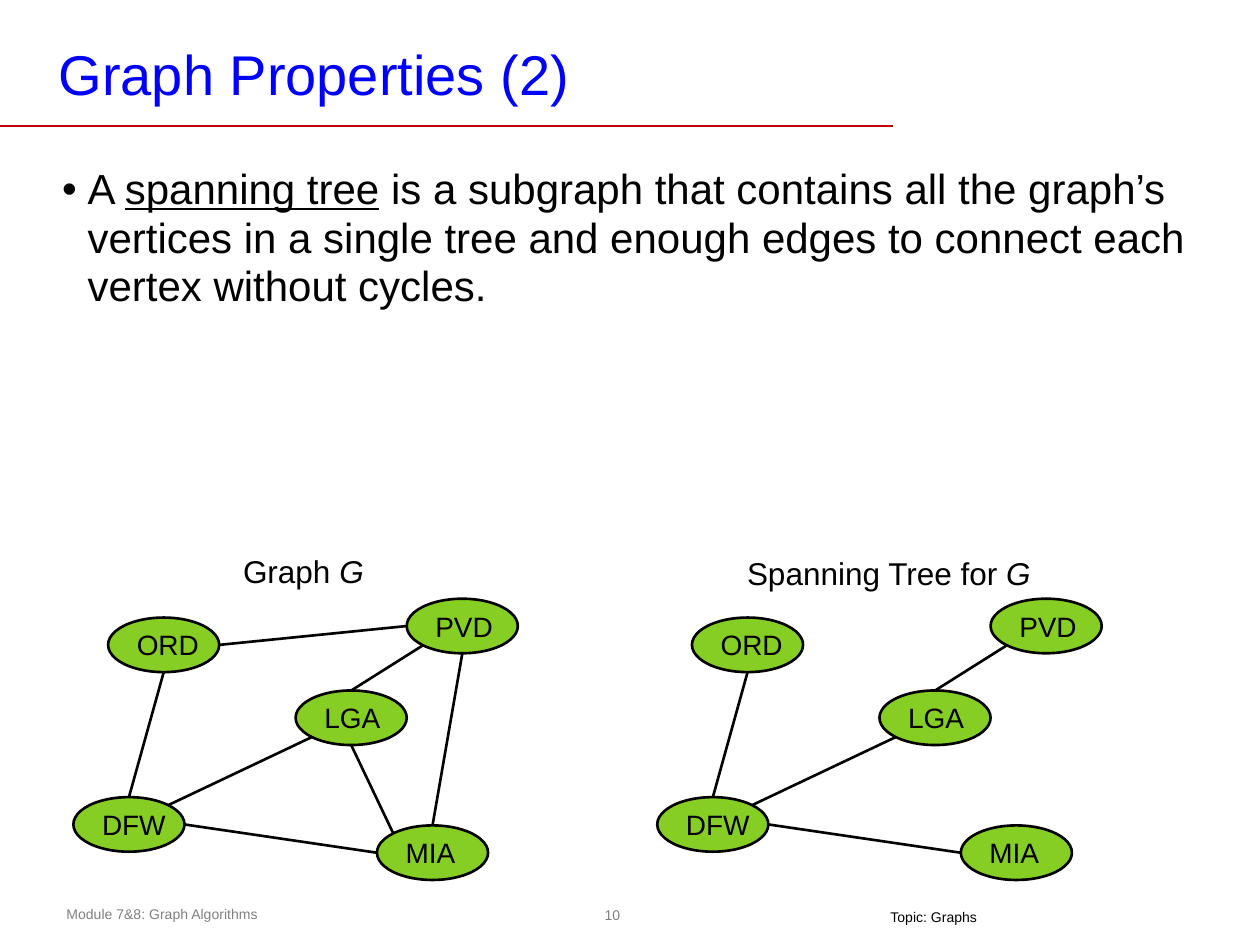
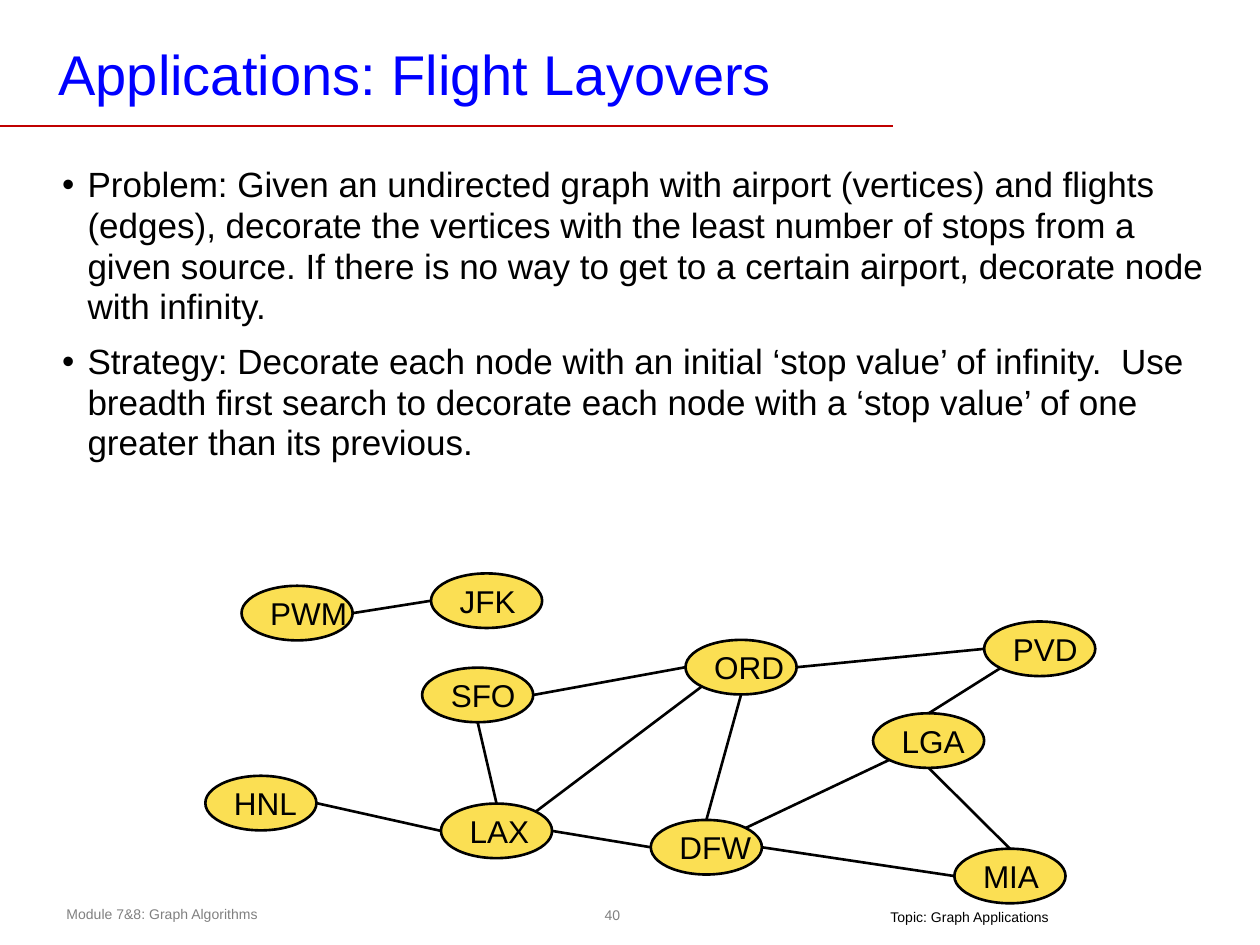
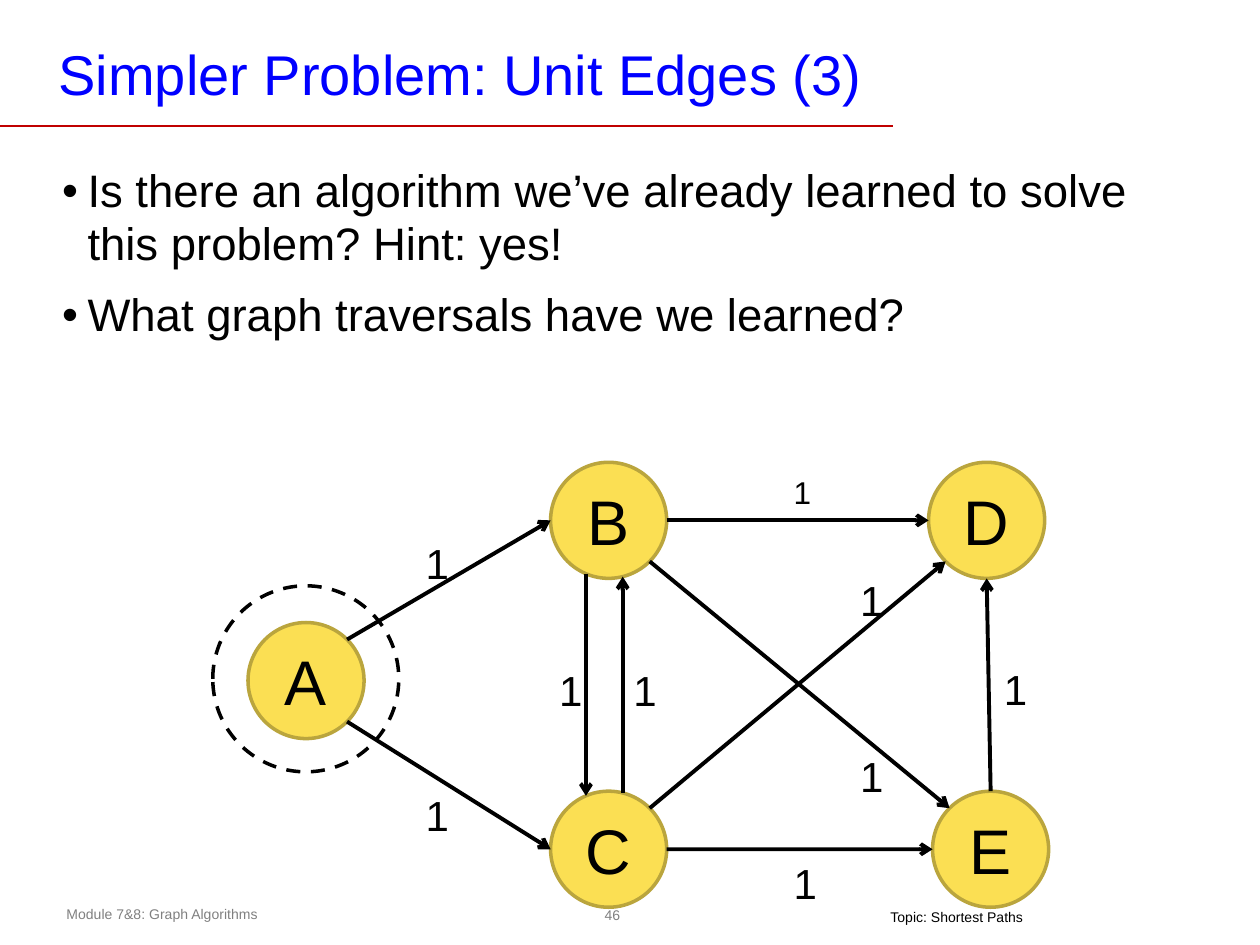
"""Build three lecture slides on graphs: spanning tree, flight layovers and unit edges."""
from math import cos, radians, sin

from lxml import etree
from pptx import Presentation
from pptx.dml.color import RGBColor
from pptx.enum.dml import MSO_LINE
from pptx.enum.shapes import MSO_CONNECTOR, MSO_SHAPE
from pptx.enum.text import MSO_ANCHOR, MSO_AUTO_SIZE, PP_ALIGN
from pptx.oxml.ns import qn
from pptx.util import Cm, Pt

STRAIGHT, OVAL, DASH = MSO_CONNECTOR.STRAIGHT, MSO_SHAPE.OVAL, MSO_LINE.DASH
LEFT, CENTER = PP_ALIGN.LEFT, PP_ALIGN.CENTER
TOP, MIDDLE = MSO_ANCHOR.TOP, MSO_ANCHOR.MIDDLE
NO_FIT = MSO_AUTO_SIZE.NONE

FONT = "Arial"
BLACK, GRAY, BLUE, RED = "000000", "808080", "0000FF", "C00000"
GREEN, YELLOW, OLIVE = "86CE24", "FBDF53", "BAA53D"

# Angles on a node's outline, clockwise from its right end
E, SE, S, SW, W, NW, N, NE = range(0, 360, 45)

AIRPORT = {"w": 2.24, "h": 1.1, "line": BLACK, "line_pt": 1.5, "align": LEFT,
           "edge_pt": 1.5, "arrow": False}
GREEN_AIRPORT = {**AIRPORT, "fill": GREEN, "size": 16}
YELLOW_AIRPORT = {**AIRPORT, "fill": YELLOW, "size": 18}
VERTEX = {"w": 2.34, "h": 2.34, "fill": YELLOW, "line": OLIVE, "line_pt": 2,
          "align": CENTER, "size": 36, "edge_pt": 2.25, "arrow": True}

network = {"ORD": (2.18, 12.45), "PVD": (8.2, 12.07), "MIA": (7.6, 16.64),
           "DFW": (1.48, 16.07), "LGA": (5.96, 13.92)}
tree_nodes = {name: (x + 11.77, y) for name, (x, y) in network.items()}
tree_edges = [("DFW", N, "ORD", S), ("DFW", NE, "LGA", SW),
              ("LGA", N, "PVD", SW), ("MIA", W, "DFW", E)]
other_edges = [("MIA", N, "PVD", S), ("LGA", S, "MIA", NW), ("ORD", E, "PVD", W)]

flights = {"ORD": (13.82, 12.9), "PVD": (19.84, 12.53), "MIA": (19.24, 17.11),
           "DFW": (13.12, 16.53), "SFO": (8.51, 13.46), "LAX": (8.89, 16.2),
           "LGA": (17.6, 14.38), "HNL": (4.14, 15.64), "PWM": (4.87, 11.81),
           "JFK": (8.69, 11.56)}
flight_edges = [("SFO", E, "ORD", W), ("DFW", N, "ORD", S), ("DFW", NE, "LGA", SW),
                ("LGA", N, "PVD", SW), ("ORD", E, "PVD", W), ("HNL", E, "LAX", W),
                ("SFO", S, "LAX", N), ("LGA", S, "MIA", N), ("MIA", W, "DFW", E),
                ("LAX", E, "DFW", W), ("LAX", NE, "ORD", SW), ("PWM", E, "JFK", W)]

vertices = {"A": (5, 12.55), "B": (11.1, 9.32), "C": (11.1, 15.95),
            "D": (18.72, 9.32), "E": (18.8, 15.95)}
vertex_edges = [("A", NE, "B", W), ("A", SE, "C", W), ("B", 113, "C", 247),
                ("C", 284, "B", 76), ("B", E, "D", W), ("B", SE, "E", NW),
                ("E", N, "D", S), ("C", E, "E", W), ("C", NE, "D", SW)]
weights = [(8.33, 10.72, 24), (8.33, 15.8, 24), (11.02, 13.28, 24),
           (12.52, 13.28, 24), (15.75, 9.42, 18), (17.09, 15.01, 24),
           (19.99, 13.26, 24), (15.75, 17.17, 24), (17.09, 11.46, 24)]

slides = [
    {"title": "Graph Properties (2)", "number": "10", "topic": "Graphs", "size": 24,
     "bullets": [("A ", "spanning tree", " is a subgraph that contains all the graph’s vertices "
                  "in a single tree and enough edges to connect each vertex without cycles.")],
     "graphs": [(GREEN_AIRPORT, tree_nodes, tree_edges),
                (GREEN_AIRPORT, network, tree_edges + other_edges)],
     "captions": [("Graph ", 4.65, 11, 4.45), ("Spanning Tree for ", 14.81, 11.05, 6.99)]},
    {"title": "Applications: Flight Layovers", "number": "40", "topic": "Graph Applications",
     "size": 20,
     "bullets": [("Problem: Given an undirected graph with airport (vertices) and flights (edges), "
                  "decorate the vertices with the least number of stops from a given source. If "
                  "there is no way to get to a certain airport, decorate node with infinity.",),
                 ("Strategy: Decorate each node with an initial ‘stop value’ of infinity.  Use "
                  "breadth first search to decorate each node with a ‘stop value’ of one greater "
                  "than its previous.",)],
     "graphs": [(YELLOW_AIRPORT, flights, flight_edges)]},
    {"title": "Simpler Problem: Unit Edges (3)", "number": "46", "topic": "Shortest Paths",
     "size": 26,
     "bullets": [("Is there an algorithm we’ve already learned to solve this problem? "
                  "Hint: yes!",),
                 ("What graph traversals have we learned?",)],
     "graphs": [(VERTEX, vertices, vertex_edges)], "weights": weights,
     "ring": (4.29, 11.81, 3.75)},
]

rgb = RGBColor.from_string


def add_text(s, text, x, y, w, h, size, color=BLACK):
    """Add a text box with one paragraph and return its text frame."""
    tf = s.shapes.add_textbox(Cm(x), Cm(y), Cm(w), Cm(h)).text_frame
    tf.word_wrap = True
    p = tf.paragraphs[0]
    p.add_run().text = text
    p.font.name, p.font.size = FONT, Pt(size)
    p.font.color.rgb = rgb(color)
    return tf


def add_line(s, start, end, color, width, arrow=False):
    """Add a straight line between two points, with an optional arrowhead."""
    line = s.shapes.add_connector(STRAIGHT, *(Cm(v) for v in (*start, *end)))
    line.line.color.rgb = rgb(color)
    line.line.width = Pt(width)
    if arrow:
        etree.SubElement(line.line._get_or_add_ln(), qn("a:tailEnd"), type="arrow")
    etree.SubElement(line._element.spPr, qn("a:effectLst"))


prs = Presentation()
prs.slide_width, prs.slide_height = Cm(25.4), Cm(19.05)

for page in slides:
    s = prs.slides.add_slide(prs.slide_layouts[1])

    tf = add_text(s, page["number"], 12.04, 18.11, 0.61, 0.66, 8, GRAY)
    tf.margin_left = tf.margin_right = Cm(0.1)
    tf.vertical_anchor = MIDDLE
    tf.paragraphs[0].alignment = CENTER
    add_text(s, "Module 7&8: Graph Algorithms", 1.09, 18.14, 9.25, 0.61, 8, GRAY)
    tf = add_text(s, "Topic: " + page["topic"], 17.7, 18.31, 4, 0.43, 8)
    tf.margin_top, tf.margin_bottom = 0, Cm(0.1)
    add_line(s, (0, 2.54), (18.01, 2.54), RED, 1)

    title = s.shapes.title
    title.left, title.top, title.width, title.height = Cm(1), Cm(0.71), Cm(18.85), Cm(1.52)
    tf = title.text_frame
    tf.text = page["title"]
    tf.auto_size, tf.vertical_anchor = NO_FIT, TOP
    tf.margin_left = tf.margin_right = Cm(0.18)
    tf.margin_top = tf.margin_bottom = Cm(0.08)
    p = tf.paragraphs[0]
    p.alignment = LEFT
    p.font.name, p.font.size = FONT, Pt(32)
    p.font.color.rgb = rgb(BLUE)

    body = s.placeholders[1]
    body.left, body.top, body.width, body.height = Cm(1), Cm(3.2), Cm(23.65), Cm(13.92)
    tf = body.text_frame
    tf.auto_size = NO_FIT
    for i, parts in enumerate(page["bullets"]):
        p = tf.add_paragraph() if i else tf.paragraphs[0]
        pPr = p._p.get_or_add_pPr()
        pPr.set("marL", str(Cm(0.51)))
        pPr.set("indent", str(-Cm(0.51)))
        p.line_spacing = 0.97
        p.space_before = Pt(0.39 * page["size"] if i else 0)
        for j, part in enumerate(parts):
            r = p.add_run()
            r.text = part
            if j == 1:
                r.font.underline = True
        p.font.name, p.font.size = FONT, Pt(page["size"])
        p.font.color.rgb = rgb(BLACK)

    for look, nodes, edges in page["graphs"]:
        w, h = look["w"], look["h"]
        for name, (x, y) in nodes.items():
            node = s.shapes.add_shape(OVAL, Cm(x), Cm(y), Cm(w), Cm(h))
            node.shadow.inherit = False
            node.fill.solid()
            node.fill.fore_color.rgb = rgb(look["fill"])
            node.line.color.rgb = rgb(look["line"])
            node.line.width = Pt(look["line_pt"])
            tf = node.text_frame
            tf.text = name
            tf.word_wrap, tf.vertical_anchor = False, MIDDLE
            p = tf.paragraphs[0]
            p.alignment = look["align"]
            p.font.name, p.font.size = FONT, Pt(look["size"])
            p.font.color.rgb = rgb(BLACK)
        for a, a_angle, b, b_angle in edges:
            start, end = ((nodes[n][0] + w / 2 * (1 + cos(radians(angle))),
                           nodes[n][1] + h / 2 * (1 + sin(radians(angle))))
                          for n, angle in ((a, a_angle), (b, b_angle)))
            add_line(s, start, end, BLACK, look["edge_pt"], look["arrow"])

    for text, x, y, w in page.get("captions", []):
        r = add_text(s, text, x, y, w, 1.03, 18).paragraphs[0].add_run()
        r.text = "G"
        r.font.italic = True

    for x, y, size in page.get("weights", []):
        add_text(s, "1", x, y, 0.71, 1.27, size)

    if "ring" in page:
        x, y, d = page["ring"]
        ring = s.shapes.add_shape(OVAL, Cm(x), Cm(y), Cm(d), Cm(d))
        ring.shadow.inherit = False
        ring.fill.background()
        ring.line.color.rgb = rgb(BLACK)
        ring.line.width = Pt(2)
        ring.line.dash_style = DASH

prs.save("out.pptx")
